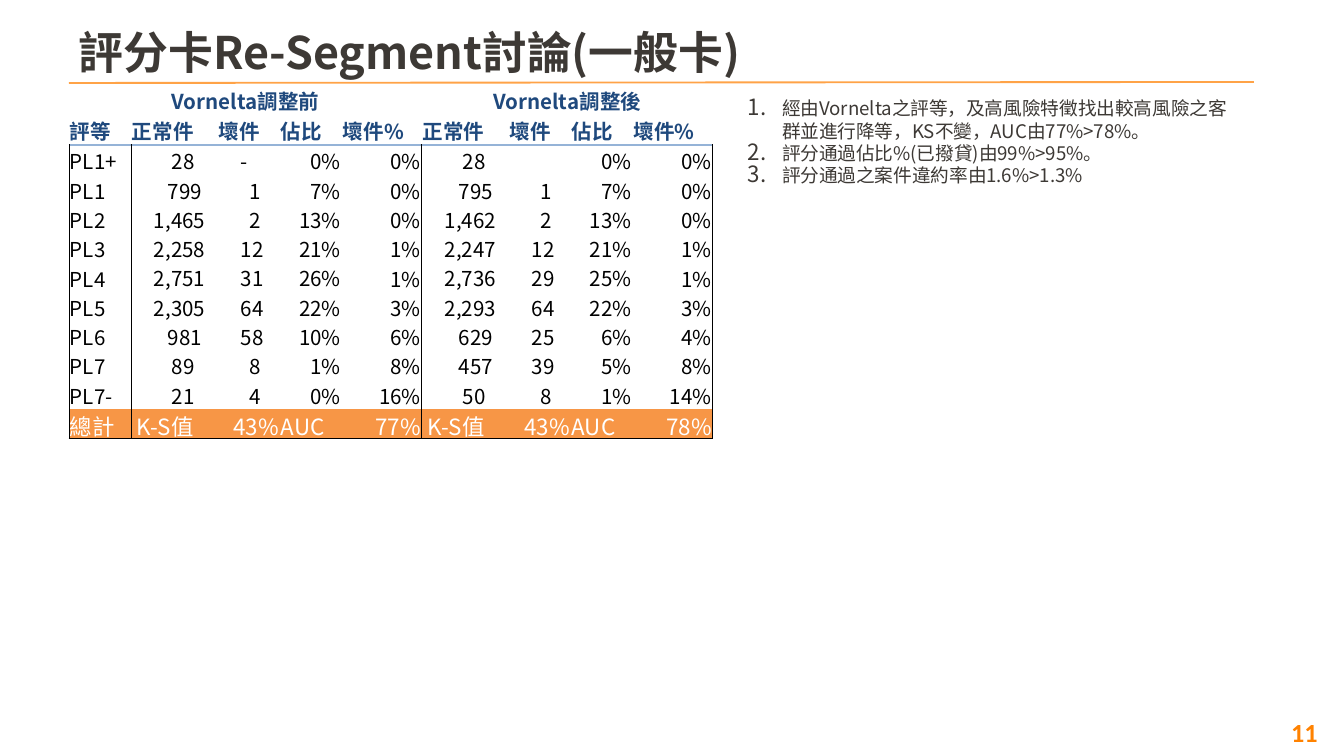
from lxml.etree import SubElement
from pptx import Presentation
from pptx.dml.color import RGBColor
from pptx.enum.shapes import MSO_CONNECTOR
from pptx.enum.text import MSO_ANCHOR, PP_ALIGN
from pptx.oxml.ns import qn
from pptx.util import Pt

EMU_PER_INCH, PX_PER_INCH = 914400, 134.4
COLORS = {
    "text": "3D3935", "rule": "FFA347", "page": "FF8200", "heading": "1F497D",
    "body": "000000", "total_text": "FFFFFF", "total": "F79646",
    "header_line": "95B3D7", "frame": "000000",
}
SANS_SC, SANS_TC = "Noto Sans CJK SC", "Noto Sans CJK TC"

HEADINGS = ["正常件", "壞件", "佔比", "壞件%"]
GRADES = [
    ("PL1+", "28", "-", "0%", "0%", "28", "", "0%", "0%"),
    ("PL1", "799", "1", "7%", "0%", "795", "1", "7%", "0%"),
    ("PL2", "1,465", "2", "13%", "0%", "1,462", "2", "13%", "0%"),
    ("PL3", "2,258", "12", "21%", "1%", "2,247", "12", "21%", "1%"),
    ("PL4", "2,751", "31", "26%", "1%", "2,736", "29", "25%", "1%"),
    ("PL5", "2,305", "64", "22%", "3%", "2,293", "64", "22%", "3%"),
    ("PL6", "981", "58", "10%", "6%", "629", "25", "6%", "4%"),
    ("PL7", "89", "8", "1%", "8%", "457", "39", "5%", "8%"),
    ("PL7-", "21", "4", "0%", "16%", "50", "8", "1%", "14%"),
]
TOTALS = ("總計", "K-S值", "43%", "AUC", "77%", "K-S值", "43%", "AUC", "78%")
NOTES = [
    "經由Vornelta之評等，及高風險特徵找出較高風險之客群並進行降等，KS不變，AUC由77%>78%。",
    "評分通過佔比%(已撥貸)由99%>95%。",
    "評分通過之案件違約率由1.6%>1.3%",
]
# Left indent in px of a count, by its number of characters
GOOD_INDENT = {2: 41, 3: 37, 5: 23}
BAD_INDENT = {1: 32, 2: 23}


def px(length):
    return round(length * EMU_PER_INCH / PX_PER_INCH)


def color(key):
    return RGBColor.from_string(COLORS[key])


def style(paragraph, size, color_key, name, bold=False, align=PP_ALIGN.LEFT):
    paragraph.alignment = align
    font = paragraph.font
    font.size, font.bold, font.name = Pt(size), bold, name
    font.color.rgb = color(color_key)
    defaults = paragraph._p.pPr.find(qn("a:defRPr"))
    SubElement(defaults, qn("a:ea")).set("typeface", name)


def set_margins(frame, left, top, right, bottom):
    frame.margin_left, frame.margin_top = px(left), px(top)
    frame.margin_right, frame.margin_bottom = px(right), px(bottom)


def add_heading(slide, left, top, width, height):
    title = slide.shapes.title
    title.left, title.top, title.width, title.height = map(px, (left, top, width, height))
    frame = title.text_frame
    frame.text = "評分卡Re-Segment討論(一般卡)"
    frame.word_wrap = True
    frame.vertical_anchor = MSO_ANCHOR.MIDDLE
    set_margins(frame, 10, 5, 10, 5)
    style(frame.paragraphs[0], 24, "text", SANS_SC, bold=True)

    # Rule under the title, rising slightly to the right
    rule = slide.shapes.add_connector(
        MSO_CONNECTOR.STRAIGHT, px(left), px(top + 63), px(left + 1185), px(top + 62))
    rule.line.color.rgb = color("rule")
    rule.line.width = Pt(1)
    SubElement(rule._element.spPr, qn("a:effectLst"))


def add_notes_list(slide, left, top, width, height):
    frame = slide.shapes.add_textbox(*map(px, (left, top, width, height))).text_frame
    frame.word_wrap = True
    set_margins(frame, 13, 7, 13, 7)
    frame.text = "\n".join(NOTES)
    for paragraph in frame.paragraphs:
        properties = paragraph._p.get_or_add_pPr()
        properties.set("marL", str(px(34)))
        properties.set("indent", str(-px(34)))
        SubElement(properties, qn("a:buSzPct")).set("val", "120000")
        SubElement(properties, qn("a:buAutoNum")).set("type", "arabicPeriod")
        style(paragraph, 10, "text", SANS_SC)


def add_page_number(slide, left, top, width, height):
    frame = slide.shapes.add_textbox(*map(px, (left, top, width, height))).text_frame
    frame.word_wrap = True
    frame.vertical_anchor = MSO_ANCHOR.MIDDLE
    set_margins(frame, 5, 5, 5, 5)
    frame.text = "11"
    style(frame.paragraphs[0], 14, "page", "Calibri", bold=True, align=PP_ALIGN.CENTER)


def set_borders(cell, borders):
    properties = cell._tc.get_or_add_tcPr()
    for side in "LRTB":
        line = SubElement(properties, qn(f"a:ln{side}"))
        if side in borders:
            color_key, width = borders[side]
            line.set("w", str(Pt(width)))
            fill = SubElement(line, qn("a:solidFill"))
            SubElement(fill, qn("a:srgbClr")).set("val", COLORS[color_key])
        else:
            SubElement(line, qn("a:noFill"))


def cell_borders(row, column, last_row):
    borders = {}
    if row == 1:
        borders["B"] = ("header_line", 1)
    elif row == 2:
        borders["T"] = ("header_line", 1)
    elif row == last_row:
        borders["B"] = ("frame", 0.5)
    if row >= 2:
        if column in (0, 1, 5):
            borders["L"] = ("frame", 0.5)
        if column in (0, 4, 8):
            borders["R"] = ("frame", 0.5)
    return borders


def cell_indent(row, column, text, last_row):
    if row == last_row:
        return 6 if column in (1, 5) else 1
    if row >= 2 and column in (1, 5):
        return GOOD_INDENT[len(text)]
    if row >= 2 and column in (2, 6):
        return BAD_INDENT[2 if text == "-" else 1] if len(text) < 2 else BAD_INDENT[2]
    return 1


def add_grade_table(slide, left, top, width, height):
    rows = [("Vornelta調整前", "", "", "", "", "Vornelta調整後", "", "", ""),
            ("評等", *HEADINGS, *HEADINGS), *GRADES, TOTALS]
    last_row = len(rows) - 1
    table = slide.shapes.add_table(
        len(rows), len(rows[0]), *map(px, (left, top, width, height))).table
    table.first_row = table.horz_banding = False
    for column, column_width in zip(table.columns, [62] + [87, 62, 62, 80] * 2):
        column.width = px(column_width)
    for index, row in enumerate(table.rows):
        edge_row = index in (0, 1, last_row)
        row.height = px(30) if edge_row else px(height - 3 * 30) // len(GRADES)

    for r, row in enumerate(rows):
        for c, text in enumerate(row):
            cell = table.cell(r, c)
            cell.text = text
            set_margins(cell, cell_indent(r, c, text, last_row), 1, 1, 0)
            middle = 2 <= r < last_row and c in (0, 4, 8)
            cell.vertical_anchor = MSO_ANCHOR.MIDDLE if middle else MSO_ANCHOR.BOTTOM
            set_borders(cell, cell_borders(r, c, last_row))

            # Percentages align right, group headings centre
            align = PP_ALIGN.LEFT
            if r == 0:
                align = PP_ALIGN.CENTER
            elif r >= 2 and text.endswith("%"):
                align = PP_ALIGN.RIGHT
            paragraph = cell.text_frame.paragraphs[0]
            if r == last_row:
                cell.fill.solid()
                cell.fill.fore_color.rgb = color("total")
                style(paragraph, 12, "total_text", SANS_TC, align=align)
            else:
                cell.fill.background()
                style(paragraph, 11, "heading" if r < 2 else "body", SANS_TC,
                      bold=r < 2, align=align)

    # Group headings span their columns
    table.cell(0, 0).merge(table.cell(0, 4))
    table.cell(0, 5).merge(table.cell(0, 8))


def main():
    presentation = Presentation()
    presentation.slide_width, presentation.slide_height = px(1344), px(756)
    slide = presentation.slides.add_slide(presentation.slide_layouts[5])
    add_page_number(slide, 1265, 703, 79, 59)
    add_heading(slide, 69, 20, 868, 63)
    add_notes_list(slide, 735, 90, 519, 103)
    add_grade_table(slide, 69, 85, 644, 354)
    presentation.save("out.pptx")


if __name__ == "__main__":
    main()
